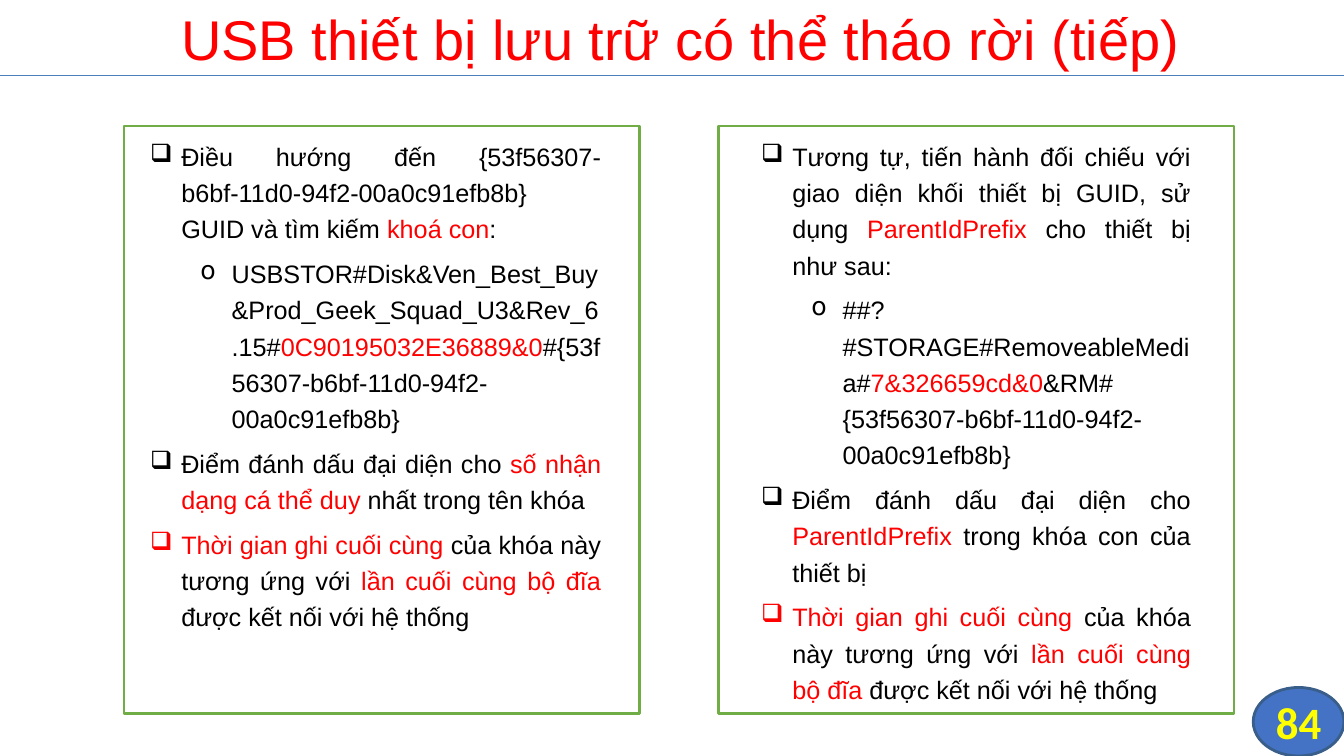
from lxml import etree
from pptx import Presentation, util as u
from pptx.dml.color import RGBColor
from pptx.enum import shapes as sh, text as tx
from pptx.oxml.ns import qn

W, H = 13.33, 7.5
RED, BLACK, GREEN = "FF0000", "000000", "70AD47"
TITLE = "USB thiết bị lưu trữ có thể tháo rời (tiếp)"
PAGE = "84"

# Text between asterisks is red; each item is (level, justified, text).
LEFT = [
    (0, True, "Điều hướng đến {53f56307-b6bf-11d0-94f2-00a0c91efb8b}\n"
              "GUID và tìm kiếm *khoá con*:"),
    (1, True, "USBSTOR#Disk&Ven_Best_Buy&Prod_Geek_Squad_U3&Rev_6.15#"
              "*0C90195032E36889&0*#{53f56307-b6bf-11d0-94f2-00a0c91efb8b}"),
    (0, True, "Điểm đánh dấu đại diện cho *số nhận dạng cá thể duy *"
              "nhất trong tên khóa"),
    (0, True, "*Thời gian ghi cuối cùng *của khóa này tương ứng với "
              "*lần cuối cùng bộ đĩa* được kết nối với hệ thống"),
]
RIGHT = [
    (0, True, "Tương tự, tiến hành đối chiếu với giao diện khối thiết bị GUID, "
              "sử dụng *ParentIdPrefix* cho thiết bị như sau:"),
    (1, False, "##?#STORAGE#RemoveableMedia#*7&326659cd&0*&RM# "
               "{53f56307-b6bf-11d0-94f2-00a0c91efb8b}"),
    (0, True, "Điểm đánh dấu đại diện cho *ParentIdPrefix* "
              "trong khóa con của thiết bị"),
    (0, True, "*Thời gian ghi cuối cùng *của khóa này tương ứng với "
              "*lần cuối cùng bộ đĩa *được kết nối với hệ thống"),
]
# Panel grid: left edge, step, top, width, height
X, STEP, Y, PW, PH = 1.23, 5.9, 1.25, 5.11, 5.83
# Items, text inset from the panel, text width, text height
COLS = [(LEFT, 0.16, 4.67, 5.05), (RIGHT, 0.32, 4.46, 5.41)]
BULLETS = "❑o"

deck = Presentation()
deck.slide_width, deck.slide_height = u.Inches(W), u.Inches(H)
slide = deck.slides.add_slide(deck.slide_layouts[6])


def rgb(code):
    return RGBColor.from_string(code)


def place(*nums):
    return [u.Inches(n) for n in nums]


def shape(kind, box, fill, line):
    s = slide.shapes.add_shape(kind, *place(*box))
    s.shadow.inherit = False
    s.fill.solid()
    s.fill.fore_color.rgb = rgb(fill)
    s.line.color.rgb = rgb(line)
    s.line.width = u.Pt(2)


def frame(box):
    f = slide.shapes.add_textbox(*place(*box)).text_frame
    f.word_wrap = True
    return f


def style(font, size, color, name="Arial", bold=False):
    font.size, font.name, font.bold = u.Pt(size), name, bold
    font.color.rgb = rgb(color)


def bullet(para, level, color):
    props = para._p.get_or_add_pPr()
    props.set("marL", str(u.Inches(0.31 + 0.5 * level)))
    props.set("indent", str(u.Inches(-0.31)))
    tint = etree.SubElement(props, qn("a:buClr"))
    etree.SubElement(tint, qn("a:srgbClr")).set("val", color)
    etree.SubElement(props, qn("a:buChar")).set("char", BULLETS[level])


def item(para, level, full, words):
    para.level = level
    para.line_spacing = 1.2
    para.alignment = tx.PP_ALIGN.JUSTIFY if full else tx.PP_ALIGN.LEFT
    bullet(para, level, RED if words.startswith("*") else BLACK)
    for i, part in enumerate(words.split("*")):
        for j, line in enumerate(part.split("\n")):
            if j:
                para.add_line_break()
            if line:
                run = para.add_run()
                run.text = line
                style(run.font, 18, RED if i % 2 else BLACK)


# Page number and header rule
badge = (W - 0.9, H - 0.68, 0.9, 0.68)
shape(sh.MSO_SHAPE.FLOWCHART_CONNECTOR, badge, "4472C4", "395E89")
rule = slide.shapes.add_connector(sh.MSO_CONNECTOR.STRAIGHT,
                                  *place(0, H / 10, W, H / 10))
rule.line.color.rgb = rgb("4A7DBA")
rule.line.width = u.Pt(0.75)
etree.SubElement(rule._element.spPr, qn("a:effectLst"))

num = frame(badge)
num.margin_left = num.margin_right = num.margin_top = num.margin_bottom = 0
num.vertical_anchor = tx.MSO_ANCHOR.MIDDLE
num.text = PAGE
num.paragraphs[0].alignment = tx.PP_ALIGN.CENTER
style(num.paragraphs[0].runs[0].font, 32, "FFFF00", "Calibri", True)

# Two panels
for c, (items, inset, tw, th) in enumerate(COLS):
    left = X + c * STEP
    shape(sh.MSO_SHAPE.RECTANGLE, (left, Y, PW, PH), "FFFFFF", GREEN)
    body = frame((left + inset, Y + 0.04, tw, th))
    body.auto_size = tx.MSO_AUTO_SIZE.SHAPE_TO_FIT_TEXT
    for n, entry in enumerate(items):
        para = body.add_paragraph() if n else body.paragraphs[0]
        if n:
            para.space_before = u.Pt(6)
        item(para, *entry)

# Title
head = frame((1.7, 0, 10.26, 0.77))
head.auto_size = tx.MSO_AUTO_SIZE.SHAPE_TO_FIT_TEXT
head.text = TITLE
style(head.paragraphs[0].runs[0].font, 40, RED)

deck.save("out.pptx")
